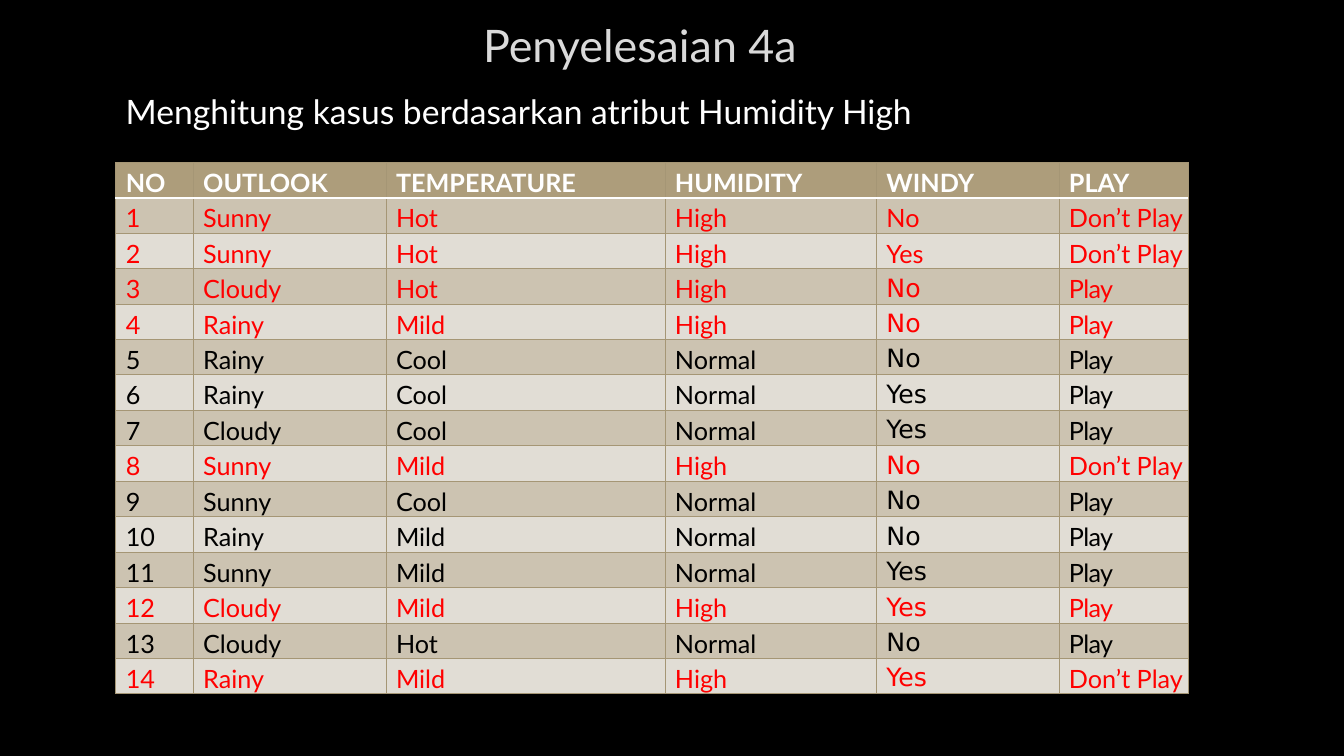
from dataclasses import dataclass

import pptx
import pptx.dml.color
import pptx.enum.text
import pptx.oxml
import pptx.oxml.ns
import pptx.util

Cm = pptx.util.Cm
Pt = pptx.util.Pt
RGB = pptx.dml.color.RGBColor.from_string

COLORS = {
    "background": "000000",
    "title": "DADADA",
    "white": "FFFFFF",
    "selected": "FF0000",
    "plain": "000000",
    "header": "AD9D7B",
    "odd_row": "CCC3B1",
    "even_row": "E1DDD5",
    "border": "A59675",
}
BODY_FONT = "Lato"
WINDY_FONT = "DejaVu Sans"
ROW_HEIGHT = 0.74
TABLE_HEIGHT = 13.31


@dataclass(frozen=True)
class Column:
    name: str
    width: float


@dataclass(frozen=True)
class Case:
    outlook: str
    temperature: str
    humidity: str
    windy: str
    play: str


@dataclass(frozen=True)
class TextBlock:
    text: str
    left: float
    top: float
    width: float
    height: float
    size: float
    color: str
    frame: dict
    align: pptx.enum.text.PP_ALIGN


COLUMNS = [
    Column("NO", 1.95),
    Column("OUTLOOK", 4.86),
    Column("TEMPERATURE", 7.03),
    Column("HUMIDITY", 5.33),
    Column("WINDY", 4.6),
    Column("PLAY", 3.25),
]

CASES = [
    Case("Sunny", "Hot", "High", "No", "Don’t Play"),
    Case("Sunny", "Hot", "High", "Yes", "Don’t Play"),
    Case("Cloudy", "Hot", "High", "No", "Play"),
    Case("Rainy", "Mild", "High", "No", "Play"),
    Case("Rainy", "Cool", "Normal", "No", "Play"),
    Case("Rainy", "Cool", "Normal", "Yes", "Play"),
    Case("Cloudy", "Cool", "Normal", "Yes", "Play"),
    Case("Sunny", "Mild", "High", "No", "Don’t Play"),
    Case("Sunny", "Cool", "Normal", "No", "Play"),
    Case("Rainy", "Mild", "Normal", "No", "Play"),
    Case("Sunny", "Mild", "Normal", "Yes", "Play"),
    Case("Cloudy", "Mild", "High", "Yes", "Play"),
    Case("Cloudy", "Hot", "Normal", "No", "Play"),
    Case("Rainy", "Mild", "High", "Yes", "Don’t Play"),
]

TEXT_BLOCKS = [
    TextBlock(
        "Penyelesaian 4a", 2.92, 1.27, 26.42, 1.09, 32, "title",
        {
            "vertical_anchor": pptx.enum.text.MSO_ANCHOR.BOTTOM,
            "margin_top": 0,
            "margin_bottom": Cm(0.55),
        },
        pptx.enum.text.PP_ALIGN.CENTER,
    ),
    TextBlock(
        "Menghitung kasus berdasarkan atribut Humidity High",
        2.92, 2.16, 28.02, 1.27, 24, "white",
        {"auto_size": pptx.enum.text.MSO_AUTO_SIZE.SHAPE_TO_FIT_TEXT},
        pptx.enum.text.PP_ALIGN.LEFT,
    ),
]


def set_attributes(target: object, values: dict) -> None:
    for name, value in values.items():
        setattr(target, name, value)


def add_run(p, text: str, size: float, color: str, font: str = BODY_FONT, bold: bool = False):
    r = p.add_run()
    r.text = text
    set_attributes(r.font, {"name": font, "size": Pt(size), "bold": bold})
    r.font.color.rgb = RGB(COLORS[color])
    return r


def add_text_block(s, block: TextBlock) -> None:
    box = s.shapes.add_textbox(Cm(block.left), Cm(block.top), Cm(block.width), Cm(block.height))
    tf = box.text_frame
    set_attributes(tf, {"word_wrap": True, **block.frame})
    p = tf.paragraphs[0]
    p.alignment = block.align
    add_run(p, block.text, block.size, block.color)


def add_border(cell, side: str, color: str, width: float) -> None:
    line = pptx.oxml.parse_xml(
        f'<a:ln{side} {pptx.oxml.ns.nsdecls("a")} w="{Pt(width)}"><a:solidFill>'
        f'<a:srgbClr val="{COLORS[color]}"/></a:solidFill></a:ln{side}>'
    )
    cell._tc.get_or_add_tcPr().append(line)


def format_cell(cell, row: int, fill: str) -> None:
    set_attributes(
        cell,
        {"margin_left": Cm(0.25), "margin_right": 0, "margin_top": Cm(0.13), "margin_bottom": 0},
    )
    white_sides = {0: "B", 1: "T"}
    for side in "LRTB":
        if white_sides.get(row) == side:
            add_border(cell, side, "white", 1.25)
        else:
            add_border(cell, side, "border", 0.75)
    cell.fill.solid()
    cell.fill.fore_color.rgb = RGB(COLORS[fill])


def add_case_table(s) -> None:
    """Draw all cases, with those of high humidity in red."""
    width = sum(column.width for column in COLUMNS)
    frame = s.shapes.add_table(
        len(CASES) + 1, len(COLUMNS), Cm(2.92), Cm(4.09), Cm(width), Cm(TABLE_HEIGHT)
    )
    table = frame.table
    set_attributes(table, {"first_row": False, "horz_banding": False})
    for table_column, column in zip(table.columns, COLUMNS):
        table_column.width = Cm(column.width)
    for table_row in table.rows:
        table_row.height = Cm(ROW_HEIGHT)
    frame.height = Cm(TABLE_HEIGHT)

    for col, column in enumerate(COLUMNS):
        cell = table.cell(0, col)
        format_cell(cell, 0, "header")
        add_run(cell.text_frame.paragraphs[0], column.name, 18, "white", bold=True)

    for row, case in enumerate(CASES, start=1):
        color = "selected" if case.humidity == "High" else "plain"
        fill = "odd_row" if row % 2 else "even_row"
        values = [str(row), case.outlook, case.temperature, case.humidity, case.windy, case.play]
        for col, (column, value) in enumerate(zip(COLUMNS, values)):
            cell = table.cell(row, col)
            format_cell(cell, row, fill)
            font = WINDY_FONT if column.name == "WINDY" and row > 2 else BODY_FONT
            r = add_run(cell.text_frame.paragraphs[0], value, 18, color, font)
            if value == "Play":
                r._r.get_or_add_rPr().set("spc", "-50")


def main() -> None:
    prs = pptx.Presentation()
    set_attributes(prs, {"slide_width": Cm(33.87), "slide_height": Cm(19.05)})
    s = prs.slides.add_slide(prs.slide_layouts[6])
    s.background.fill.solid()
    s.background.fill.fore_color.rgb = RGB(COLORS["background"])
    title, subtitle = TEXT_BLOCKS
    add_text_block(s, title)
    add_case_table(s)
    add_text_block(s, subtitle)
    prs.save("out.pptx")


if __name__ == "__main__":
    main()
